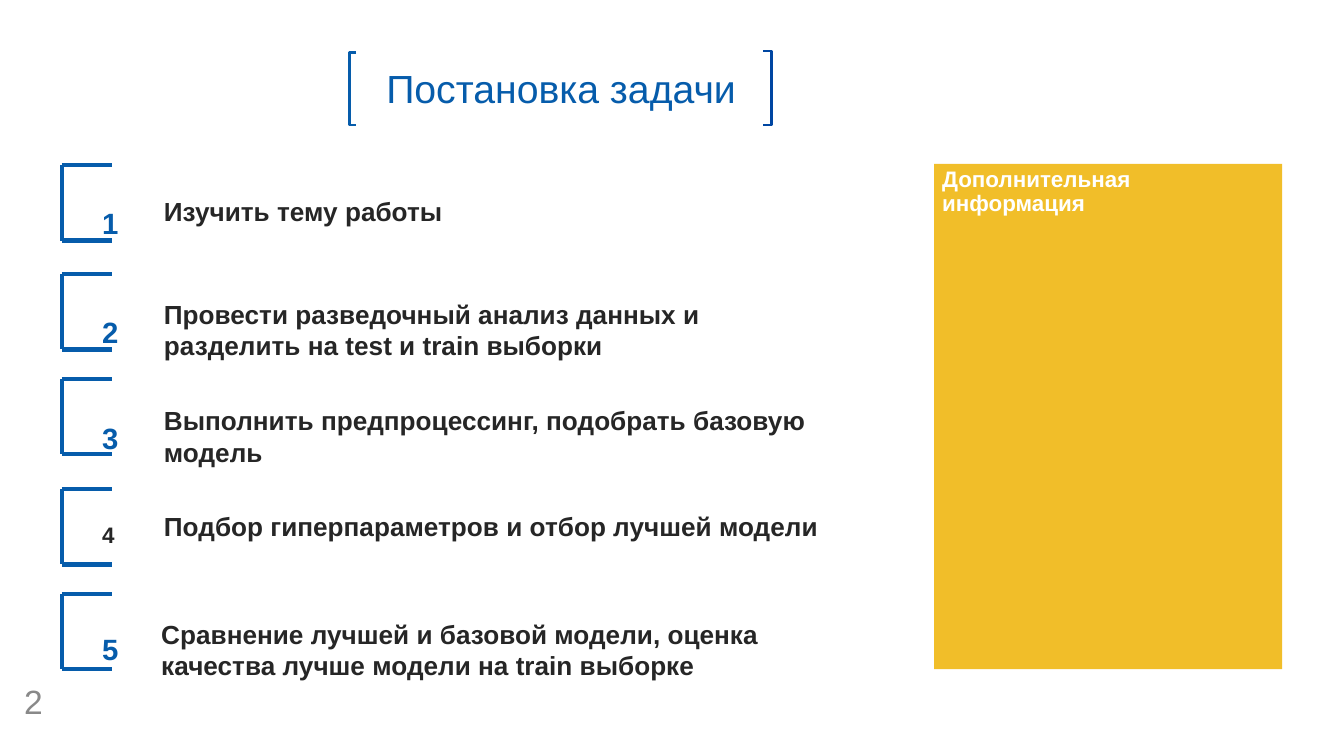
from pptx import Presentation
from pptx.dml.color import RGBColor
from pptx.enum import shapes, text
from pptx.oxml.ns import qn
from pptx.util import Inches, Pt
from lxml import etree

BLUE, NAVY, DARK, GOLD, GRAY, WHITE = (
    "065CAB", "0046A2", "262626", "F1BE29", "898989", "FFFFFF")

# bracket top, number top, task left, task top, task
STEPS = [
    (1.23, 1.44, 1.15, 1.41, "Изучить тему работы"),
    (2.04, 2.25, 1.15, 2.18,
     "Провести разведочный анализ данных и разделить на test и train выборки"),
    (2.82, 3.04, 1.15, 2.97,
     "Выполнить предпроцессинг, подобрать базовую модель"),
    (3.64, 3.84, 1.15, 3.76, "Подбор гиперпараметров и отбор лучшей модели"),
    (4.42, 4.61, 1.13, 4.56,
     "Сравнение лучшей и базовой модели, оценка качества лучше модели "
     "на train выборке"),
]


def color(code):
    return RGBColor.from_string(code)


def write(shape, words, size, ink, bold=False, pad=(0.07, 0.04),
          anchor=text.MSO_ANCHOR.TOP, align=text.PP_ALIGN.LEFT):
    frame = shape.text_frame
    frame.word_wrap = True
    frame.vertical_anchor = anchor
    frame.margin_left = frame.margin_right = Inches(pad[0])
    frame.margin_top = frame.margin_bottom = Inches(pad[1])
    par = frame.paragraphs[0]
    par.add_run().text = words
    par.alignment = align
    font = par.font
    font.name, font.size, font.bold = "Arial", Pt(size), bold
    font.color.rgb = color(ink)
    return par


def label(slide, box, *args, **opts):
    shape = slide.shapes.add_textbox(*map(Inches, box))
    return write(shape, *args, **opts)


def panel(slide, box, fill):
    shape = slide.shapes.add_shape(
        shapes.MSO_SHAPE.RECTANGLE, *map(Inches, box))
    shape.shadow.inherit = False
    shape.fill.solid()
    shape.fill.fore_color.rgb = color(fill)
    shape.line.fill.background()
    return shape


def hook(slide, tip, edge, top, bottom, ink):
    """Draw a square bracket with its spine at edge and its ends at tip."""
    pen = slide.shapes.build_freeform(Inches(tip), Inches(top), scale=1.0)
    pen.add_line_segments(
        [(Inches(x), Inches(y))
         for x, y in ((edge, top), (edge, bottom), (tip, bottom))],
        close=False)
    shape = pen.convert_to_shape()
    shape.shadow.inherit = False
    shape.fill.background()
    shape.line.color.rgb = color(ink)
    shape.line.width = Pt(1.3)


def stroke(slide, *ends):
    line = slide.shapes.add_connector(
        shapes.MSO_CONNECTOR.STRAIGHT, *map(Inches, ends))
    line.line.color.rgb = color(BLUE)
    line.line.width = Pt(2.25)
    etree.SubElement(line._element.spPr, qn("a:effectLst"))


def title(slide, left, top, width, height):
    shape = panel(slide, (left, top, width, height), WHITE)
    shape.line.color.rgb = color(WHITE)
    shape.line.width = Pt(2)
    write(shape, "Постановка задачи", 21, BLUE,
          anchor=text.MSO_ANCHOR.MIDDLE, align=text.PP_ALIGN.CENTER)
    right, bottom = left + width, top + height
    hook(slide, left + 0.05, left, top + 0.01, bottom, BLUE)
    hook(slide, right - 0.07, right - 0.01, top, bottom, NAVY)


def step(slide, num, left, top, mark, indent, head, task):
    right, bottom = left + 0.37, top + 0.56
    stroke(slide, left, top, left, bottom)
    for y in (top, bottom):
        stroke(slide, left, y, right, y)
    label(slide, (indent, head, 5.1, 0.28), task, 14, DARK, bold=True)
    plain = num == 4
    par = label(slide, (left + 0.23, mark, 0.88, 0.38), str(num),
                12 if plain else 27, DARK if plain else BLUE, bold=True)
    if not plain:
        par.runs[0].font._element.set("baseline", "30000")


def aside(slide, *box):
    par = write(panel(slide, box, GOLD), "Дополнительная информация", 12,
                WHITE, bold=True, pad=(0.06, 0.03),
                align=text.PP_ALIGN.JUSTIFY)
    par.line_spacing = 0.9


def main():
    deck = Presentation()
    deck.slide_width = Inches(10)
    deck.slide_height = deck.slide_width * 9 // 16
    slide = deck.slides.add_slide(deck.slide_layouts[6])
    title(slide, 2.6, 0.38, 3.15, 0.55)
    label(slide, (0.11, 4.84, 0.35, 0.76), "2", 18, GRAY,
          anchor=text.MSO_ANCHOR.MIDDLE)
    aside(slide, 6.95, 1.22, 2.59, 3.76)
    for num, row in enumerate(STEPS, 1):
        step(slide, num, 0.46, *row)
    deck.save("out.pptx")


if __name__ == "__main__":
    main()
